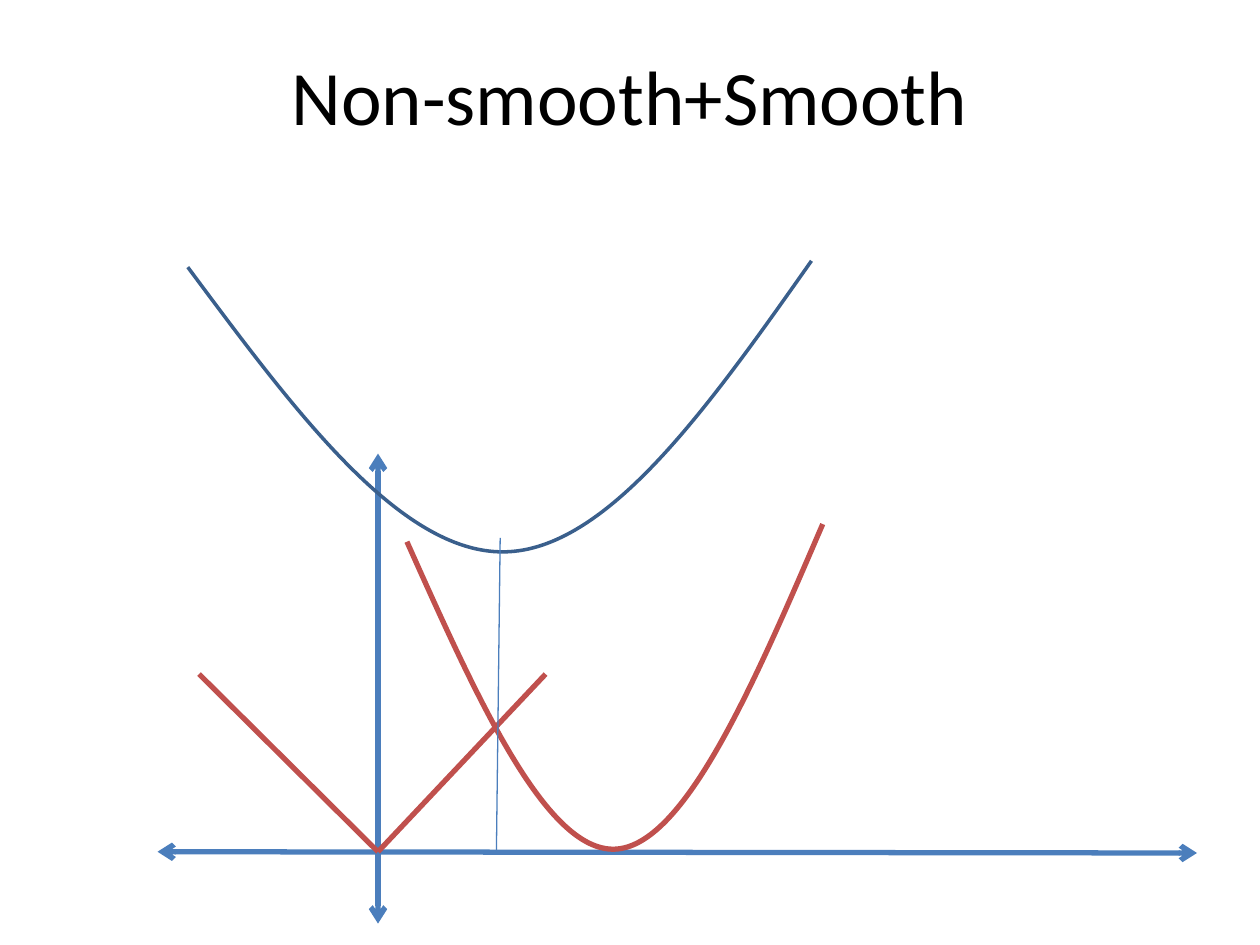
import pptx
import pptx.dml.color
import pptx.enum.shapes
import pptx.enum.text
import pptx.oxml
import pptx.oxml.ns
import pptx.util
from pptx.util import Inches

COLORS = {"text": "000000", "axis": "4B7EBC", "term": "C0504D", "sum": "3A5F8C"}

TITLE = "Non-smooth+Smooth"
TITLE_BOX = (0.5, 0.13, 9, 1.25)
TITLE_FONT = {"name": "Calibri", "size": pptx.util.Pt(44), "bold": False}

ORIGIN = (3, 6.76)

# Straight lines: start, end, color, width, arrowheads at both ends
AXES = [
    ((1.25, 6.76), (9.5, 6.77), "axis", 3, True),
    ((3, 3.6), (3, 7.33), "axis", 3, True),
]
ABSOLUTE_VALUE = [
    (ORIGIN, (4.33, 5.35), "term", 3, False),
    (ORIGIN, (1.58, 5.35), "term", 3, False),
]
MINIMUM_MARKER = [((3.94, 6.76), (3.97, 4.27), "axis", 0.75, False)]

# Curves: start, then two controls and an end for each cubic, color, width
CURVES = [
    ((3.23, 4.3),
     [(3.78, 5.53), (4.33, 6.76), (4.88, 6.74),
      (5.43, 6.72), (5.98, 5.44), (6.53, 4.16)], "term", 3),
    ((1.49, 2.12),
     [(2.33, 3.25), (3.17, 4.39), (4, 4.38),
      (4.82, 4.37), (5.63, 3.22), (6.44, 2.07)], "sum", 2),
]


def rgb(name):
    return pptx.dml.color.RGBColor.from_string(COLORS[name])


def new_element(tag, attributes=""):
    return pptx.oxml.parse_xml(f'<a:{tag} {pptx.oxml.ns.nsdecls("a")} {attributes}/>')


def style_line(line, color, width):
    line.color.rgb = rgb(color)
    line.width = pptx.util.Pt(width)


def add_line(shapes, start, end, color, width, arrows):
    connector = shapes.add_connector(
        pptx.enum.shapes.MSO_CONNECTOR.STRAIGHT,
        *(Inches(value) for value in start + end))
    style_line(connector.line, color, width)
    properties = connector._element.spPr
    if arrows:
        outline = properties.find(pptx.oxml.ns.qn("a:ln"))
        for tag in ("headEnd", "tailEnd"):
            outline.append(new_element(tag, 'type="arrow"'))
    properties.append(new_element("effectLst"))


def add_curve(shapes, start, points, color, width):
    builder = shapes.build_freeform(Inches(start[0]), Inches(start[1]))
    builder.add_line_segments([(Inches(x), Inches(y)) for x, y in points], close=False)
    shape = builder.convert_to_shape()
    shape.shadow.inherit = False
    shape.fill.background()
    style_line(shape.line, color, width)

    # Turn each three line segments into one cubic segment
    segments = list(shape._element.iter(pptx.oxml.ns.qn("a:lnTo")))
    for first in range(0, len(segments), 3):
        cubic = new_element("cubicBezTo")
        segments[first].addprevious(cubic)
        for segment in segments[first:first + 3]:
            cubic.append(segment[0])
            segment.getparent().remove(segment)


def main():
    presentation = pptx.Presentation()
    presentation.slide_width, presentation.slide_height = Inches(10), Inches(7.5)
    slide = presentation.slides.add_slide(presentation.slide_layouts[5])

    # Title
    title = slide.shapes.title
    title.left, title.top, title.width, title.height = map(Inches, TITLE_BOX)
    title.text_frame.text = TITLE
    title.text_frame.vertical_anchor = pptx.enum.text.MSO_ANCHOR.MIDDLE
    paragraph = title.text_frame.paragraphs[0]
    paragraph.alignment = pptx.enum.text.PP_ALIGN.CENTER
    for name, value in TITLE_FONT.items():
        setattr(paragraph.font, name, value)
    paragraph.font.color.rgb = rgb("text")

    # Graph: axes and non-smooth term, then smooth curves, then the minimum
    graph = slide.shapes.add_group_shape()
    for line in AXES + ABSOLUTE_VALUE:
        add_line(graph.shapes, *line)
    for curve in CURVES:
        add_curve(graph.shapes, *curve)
    for line in MINIMUM_MARKER:
        add_line(graph.shapes, *line)

    presentation.save("out.pptx")


if __name__ == "__main__":
    main()
